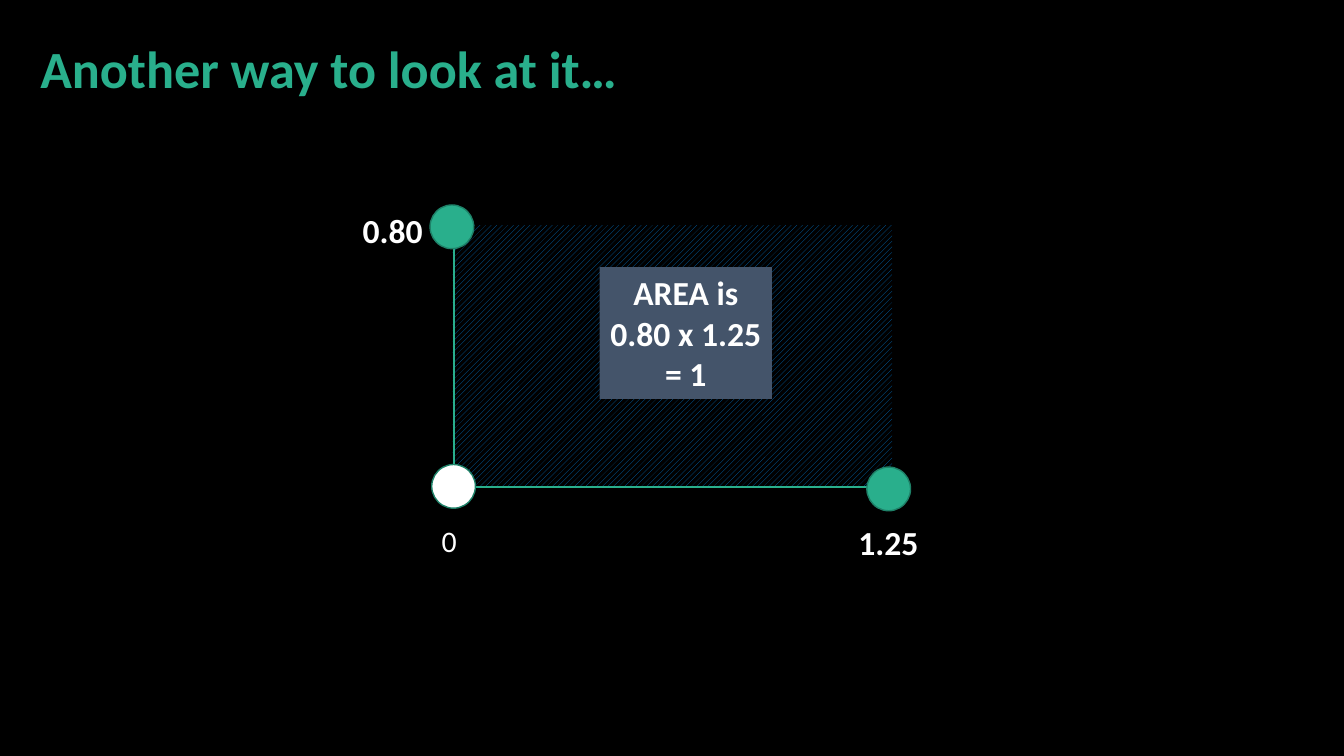
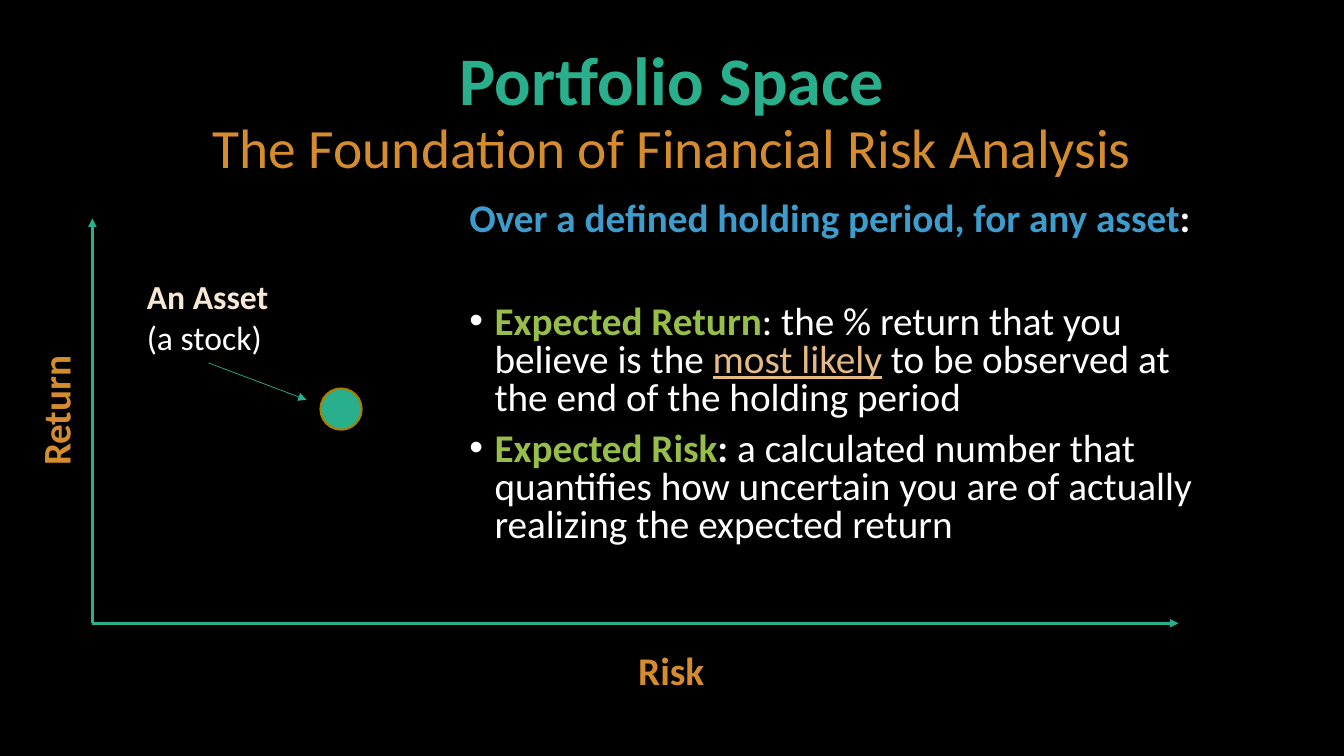
from dataclasses import dataclass
from typing import Optional

from lxml.etree import SubElement
from pptx import Presentation
from pptx.dml.color import RGBColor
from pptx.enum.dml import MSO_PATTERN as Pattern
from pptx.enum.shapes import MSO_CONNECTOR as Link, MSO_SHAPE as Shape
from pptx.enum.text import MSO_ANCHOR as Anchor, MSO_AUTO_SIZE as Fit, PP_ALIGN as Align
from pptx.oxml.ns import qn
from pptx.util import Inches, Pt

# Shared look
FONT = "Calibri"
BLACK, WHITE = "000000", "FFFFFF"
GREEN, DEEP, GOLD = "29AF8C", "1E8168", "A88001"
ORANGE, SAND, CREAM = "D58C2E", "E6BA82", "F7E8D5"
BLUE, LIME, SLATE, HATCH = "3D9CCC", "97BE49", "44546A", "0070C0"

# Grid of 160 columns by 90 rows
WIDE, HIGH = Inches(13.33), Inches(7.5)
COLS, ROWS = 160, 90


@dataclass
class Run:
    text: str
    color: Optional[str] = None
    bold: Optional[bool] = None
    size: Optional[float] = None
    under: Optional[bool] = None


@dataclass
class Para:
    runs: list[Run]
    size: float
    color: str = WHITE
    bold: bool = False
    align: Align = Align.LEFT
    lead: Optional[float] = None
    before: float = 0
    bullet: bool = False


@dataclass
class Label:
    box: tuple
    paras: list[Para]
    fill: Optional[str] = None
    turn: float = 0
    wrap: bool = False


@dataclass
class Dot:
    x: float
    y: float
    size: float
    fill: str
    edge: str
    width: float


@dataclass
class Line:
    start: tuple
    end: tuple
    width: float
    arrow: bool = False


def rgb(code: str) -> RGBColor:
    return RGBColor.from_string(code)


def col(n: float) -> int:
    return round(WIDE * n / COLS)


def row(n: float) -> int:
    return round(HIGH * n / ROWS)


def place(box: tuple) -> tuple:
    x, y, w, h = box
    return col(x), row(y), col(w), row(h)


# Text
def add_bullet(para) -> None:
    props = para._p.get_or_add_pPr()
    props.set("marL", str(Inches(0.25)))
    props.set("indent", str(-Inches(0.25)))
    tint = SubElement(props, qn("a:buClr"))
    SubElement(tint, qn("a:srgbClr"), val=WHITE)
    SubElement(props, qn("a:buFont"), typeface="Arial")
    SubElement(props, qn("a:buChar"), char="•")


def write(frame, paras: list[Para]) -> None:
    for i, item in enumerate(paras):
        para = frame.add_paragraph() if i else frame.paragraphs[0]
        if item.bullet:
            add_bullet(para)
        para.alignment = item.align
        para.space_before = Pt(item.before)
        if item.lead:
            para.line_spacing = item.lead
        font = para.font
        font.name, font.size, font.bold = FONT, Pt(item.size), item.bold
        font.color.rgb = rgb(item.color)
        for j, part in enumerate(item.runs):
            if j and part.size:
                para.add_line_break()
            run = para.add_run()
            run.text = part.text
            if part.color:
                run.font.color.rgb = rgb(part.color)
            if part.bold is not None:
                run.font.bold = part.bold
            if part.size:
                run.font.size = Pt(part.size)
            if part.under:
                run.font.underline = True


def add_title(slide, box: tuple, para: Para, wrap: bool) -> None:
    title = slide.shapes.title
    title.left, title.top, title.width, title.height = place(box)
    frame = title.text_frame
    frame.auto_size, frame.word_wrap = Fit.NONE, wrap
    frame.vertical_anchor = Anchor.MIDDLE
    write(frame, [para])


def add_label(slide, label: Label):
    box = slide.shapes.add_textbox(*place(label.box))
    box.rotation = label.turn
    if label.fill:
        box.fill.solid()
        box.fill.fore_color.rgb = rgb(label.fill)
    frame = box.text_frame
    frame.word_wrap = label.wrap
    frame.auto_size = Fit.NONE if label.wrap else Fit.SHAPE_TO_FIT_TEXT
    write(frame, label.paras)
    return box


# Shapes
def add_dot(slide, dot: Dot) -> None:
    half = dot.size / 2
    box = place((dot.x - half, dot.y - half, dot.size, dot.size))
    disc = slide.shapes.add_shape(Shape.OVAL, *box)
    disc.shadow.inherit = False
    disc.fill.solid()
    disc.fill.fore_color.rgb = rgb(dot.fill)
    disc.line.color.rgb = rgb(dot.edge)
    disc.line.width = Pt(dot.width)


def add_line(slide, line: Line):
    (x1, y1), (x2, y2) = line.start, line.end
    link = slide.shapes.add_connector(Link.STRAIGHT, col(x1), row(y1), col(x2), row(y2))
    link.line.color.rgb = rgb(GREEN)
    link.line.width = Pt(line.width)
    if line.arrow:
        SubElement(link.line._get_or_add_ln(), qn("a:tailEnd"), type="triangle")
    SubElement(link._element.spPr, qn("a:effectLst"))
    return link


def add_hatch(slide, box: tuple) -> None:
    area = slide.shapes.add_shape(Shape.RECTANGLE, *place(box))
    area.shadow.inherit = False
    area.fill.patterned()
    area.fill.pattern = Pattern.WIDE_UPWARD_DIAGONAL
    area.fill.fore_color.rgb = rgb(HATCH)
    area.fill.back_color.rgb = rgb(BLACK)
    area.line.fill.background()


# Slide 1: area as a product
def draw_area(slide) -> None:
    add_hatch(slide, (53.9, 26.8, 52.3, 31.2))
    head = Para([Run("Another way to look at it…")], 37.3, GREEN, True)
    add_title(slide, (3.6, 3.6, 71.9, 8.8), head, False)

    for end in ((103.3, 58), (54, 29.6)):
        start = (56.5, 58) if end[1] == 58 else (54, 55.3)
        add_line(slide, Line(start, end, 1.5))
    for x, y, fill in ((54, 57.9, WHITE), (105.8, 58.2, GREEN), (53.8, 27, GREEN)):
        add_dot(slide, Dot(x, y, 5.2, fill, DEEP, 1))

    add_label(slide, Label((51.4, 61.6, 5, 5.5), [Para([Run("0")], 21.3)]))
    for text, x, y in (("1.25", 101, 61.6), ("0.80", 42, 24.4)):
        add_label(slide, Label((x, y, 9.6, 6), [Para([Run(text)], 24, bold=True)]))
    lines = [Para([Run(text)], 24, bold=True, align=Align.CENTER)
             for text in ("AREA is", "0.80 x 1.25", "= 1")]
    add_label(slide, Label((71.4, 31.8, 20.5, 15.7), lines, SLATE))


# Slide 2: risk and return
def draw_space(slide) -> None:
    head = Para([Run("Portfolio Space", GREEN, True, 48.6),
                 Run("The Foundation of Financial Risk Analysis", ORANGE, False, 39.6)],
                48.6, align=Align.CENTER, lead=0.9)
    add_title(slide, (11, 4.8, 138, 17.4), head, True)

    body = [
        Para([Run("Over a defined holding period, for any asset", BLUE), Run(":")],
             28, bold=True, lead=0.8),
        Para([Run("Expected Return", LIME, True),
              Run(": the % return that you believe is the "),
              Run("most likely", SAND, under=True),
              Run(" to be observed at the end of the holding period")],
             28, lead=0.8, before=47, bullet=True),
        Para([Run("Expected Risk", LIME, True), Run(": ", bold=True),
              Run("a calculated number that quantifies how uncertain you are "
                  "of actually realizing the expected return")],
             28, lead=0.8, before=10, bullet=True),
    ]
    add_label(slide, Label((54.7, 23.5, 91.1, 43.2), body, wrap=True))

    # Asset and its pointer
    add_dot(slide, Dot(40.6, 48.7, 4.9, GREEN, GOLD, 1.5))
    name = add_label(slide, Label((16.3, 32.3, 17, 10.9), [
        Para([Run("An Asset")], 24, CREAM, True), Para([Run("(a stock)")], 24)]))
    link = add_line(slide, Line((24.8, 43.2), (36.5, 47.6), 0.5, True))
    link.begin_connect(name, 2)

    # Axes
    for end in ((11, 26), (140.3, 74.2)):
        add_line(slide, Line((11, 74.2), end, 2, True))
    for text, box, turn in (("Risk", (74.8, 76.3, 10.3, 6.8), 0),
                            ("Return", (-1.3, 45.4, 15.7, 6.8), 270)):
        add_label(slide, Label(box, [Para([Run(text)], 28, ORANGE, True)], turn=turn))


def main() -> None:
    deck = Presentation()
    deck.slide_width, deck.slide_height = WIDE, HIGH
    back = deck.slide_master.background.fill
    back.solid()
    back.fore_color.rgb = rgb(BLACK)
    for draw in (draw_area, draw_space):
        draw(deck.slides.add_slide(deck.slide_layouts[5]))
    deck.save("out.pptx")


if __name__ == "__main__":
    main()
